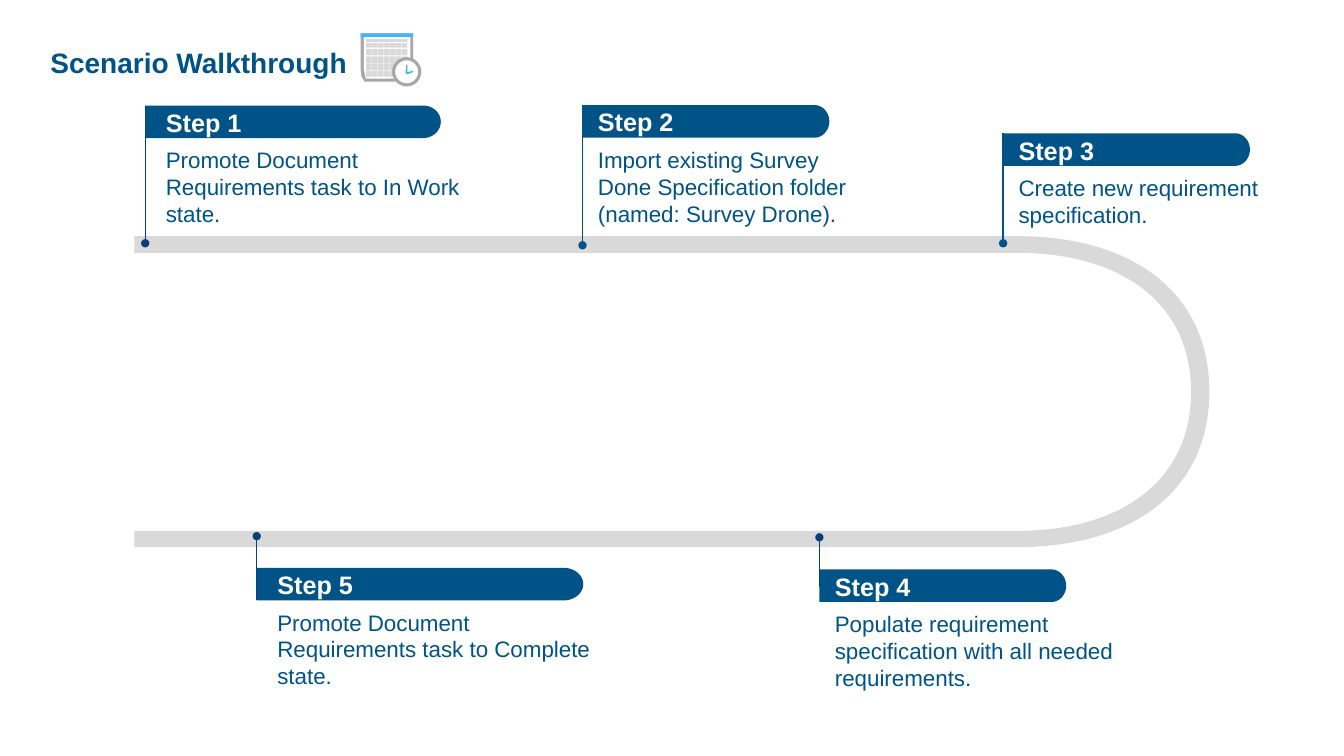
from dataclasses import dataclass

from lxml.etree import SubElement
from pptx import Presentation
from pptx.dml.color import RGBColor
from pptx.enum.shapes import MSO_CONNECTOR as Connector, MSO_SHAPE as Preset
from pptx.enum.text import MSO_ANCHOR as Anchor
from pptx.oxml.ns import qn
from pptx.util import Cm, Pt

BLUE = RGBColor(0x00, 0x53, 0x86)
NAVY = RGBColor(0x0B, 0x3F, 0x77)
WHITE = RGBColor(0xFF, 0xFF, 0xFF)
LIGHT_GREY = RGBColor(0xD9, 0xD9, 0xD9)
MID_GREY = RGBColor(0xA7, 0xA8, 0xAA)
SKY = RGBColor(0x45, 0xB4, 0xFF)

FONT = "Arial"
BANNER_HEIGHT = 0.82
ROAD_BULGE = 0.62
ROUND_BULGE = 0.55

Point = tuple[float, float]


@dataclass
class Step:
    """A milestone; all lengths are in centimetres."""
    name: str
    text: str
    left: float
    top: float
    banner_width: float
    indent: float
    text_width: float
    pole_start: float
    pole_end: float
    pole_color: RGBColor


STEPS = [
    Step("Step 1", "Promote Document Requirements task to In Work state.",
         3.66, 2.66, 7.45, 0.52, 8.08, 2.66, 6.13, NAVY),
    Step("Step 2", "Import existing Survey Done Specification folder (named: Survey Drone).",
         14.68, 2.65, 6.22, 0.39, 6.4, 2.65, 6.18, BLUE),
    Step("Step 3", "Create new requirement specification.",
         25.28, 3.36, 6.22, 0.39, 7.34, 3.36, 6.13, BLUE),
    Step("Step 4", "Populate requirement specification with all needed requirements.",
         20.65, 14.35, 6.22, 0.39, 7.34, 14.78, 13.54, NAVY),
    Step("Step 5", "Promote Document Requirements task to Complete state.",
         6.47, 14.31, 8.23, 0.52, 8.08, 15.13, 13.51, NAVY),
]


def quarter(start: Point, corner: Point, end: Point, bulge: float) -> list[Point]:
    """Points of a rounded corner between start and end."""
    first = [s + (c - s) * bulge for s, c in zip(start, corner)]
    second = [e + (c - e) * bulge for e, c in zip(end, corner)]
    points = []
    for index in range(25):
        t = index / 24
        u = 1 - t
        x, y = (u**3 * start[i] + 3 * u * u * t * first[i]
                + 3 * u * t * t * second[i] + t**3 * end[i] for i in (0, 1))
        points.append((x, y))
    return points


def round_end(left: float, right: float, top: float, bottom: float,
              bulge: float) -> list[Point]:
    """Points of a bend that opens to the left, from top to bottom."""
    middle = (top + bottom) / 2
    return (quarter((left, top), (right, top), (right, middle), bulge)
            + quarter((right, middle), (right, bottom), (left, bottom), bulge))


def paint(shape, color: RGBColor) -> None:
    shape.shadow.inherit = False
    shape.fill.solid()
    shape.fill.fore_color.rgb = color
    shape.line.fill.background()


def add_outline(shapes, points: list[Point], color: RGBColor) -> None:
    corners = [(Cm(x), Cm(y)) for x, y in points]
    builder = shapes.build_freeform(*corners[0])
    builder.add_line_segments(corners[1:], close=True)
    paint(builder.convert_to_shape(), color)


def add_preset(shapes, preset: Preset, left: float, top: float,
               width: float, height: float, color: RGBColor):
    shape = shapes.add_shape(preset, Cm(left), Cm(top), Cm(width), Cm(height))
    paint(shape, color)
    return shape


def add_text(shapes, text: str, left: float, top: float, width: float, height: float,
             size: int, color: RGBColor, bold: bool = False,
             anchor: Anchor = Anchor.TOP) -> None:
    frame = shapes.add_textbox(Cm(left), Cm(top), Cm(width), Cm(height)).text_frame
    frame.word_wrap = True
    frame.vertical_anchor = anchor
    frame.margin_left = frame.margin_right = frame.margin_top = frame.margin_bottom = 0
    run = frame.paragraphs[0].add_run()
    run.text = text
    run.font.name = FONT
    run.font.size = Pt(size)
    run.font.bold = bold
    run.font.color.rgb = color


def add_pole(shapes, x: float, start: float, end: float, color: RGBColor) -> None:
    pole = shapes.add_connector(Connector.STRAIGHT, Cm(x), Cm(start), Cm(x), Cm(end))
    pole.line.color.rgb = color
    pole.line.width = Pt(1)
    SubElement(pole.line._get_or_add_ln(), qn("a:tailEnd"), type="oval")
    SubElement(pole._element.spPr, qn("a:effectLst"))


def add_road(shapes) -> None:
    start, bend = 3.39, 25.62
    outer = round_end(bend, 30.48, 5.95, 13.79, ROAD_BULGE)
    inner = round_end(bend, 30.02, 6.37, 13.38, ROAD_BULGE)
    add_outline(shapes, [(start, 5.95), *outer, (start, 13.79),
                         (start, 13.38), *reversed(inner), (start, 6.37)], LIGHT_GREY)


def add_calendar(shapes) -> None:
    # Page with its header bar
    add_outline(shapes, [(9.09, 0.84), (10.41, 0.84), (10.41, 1.8), (10.52, 2.06),
                         (9.19, 2.06), (9.11, 1.93), (9.09, 1.75)], MID_GREY)
    add_outline(shapes, [(9.17, 0.91), (10.34, 0.91), (10.34, 1.75), (10.39, 1.98),
                         (9.22, 1.98), (9.17, 1.75)], WHITE)
    add_preset(shapes, Preset.RECTANGLE, 9.09, 0.84, 1.32, 0.1, SKY)
    add_preset(shapes, Preset.RECTANGLE, 9.23, 0.99, 1.04, 0.07, LIGHT_GREY)
    # Day cells
    for top, height in ((1.09, 0.11), (1.23, 0.17), (1.42, 0.17), (1.6, 0.17), (1.78, 0.15)):
        for column in range(7):
            add_preset(shapes, Preset.RECTANGLE, 9.23 + 0.15 * column, top,
                       0.14, height, LIGHT_GREY)
    # Clock
    clock = add_preset(shapes, Preset.OVAL, 9.92, 1.48, 0.66, 0.66, WHITE)
    clock.line.color.rgb = MID_GREY
    clock.line.width = Pt(2.2)
    add_outline(shapes, [(10.24, 1.63), (10.27, 1.63), (10.27, 1.82), (10.41, 1.78),
                         (10.41, 1.82), (10.27, 1.87), (10.22, 1.85)], SKY)


def add_step(shapes, step: Step) -> None:
    right, bottom = step.left + step.banner_width, step.top + BANNER_HEIGHT
    end = round_end(right - 0.06 * step.banner_width, right, step.top, bottom, ROUND_BULGE)
    add_outline(shapes, [(step.left, step.top), *end, (step.left, bottom)], BLUE)
    add_pole(shapes, step.left, step.pole_start, step.pole_end, step.pole_color)
    text_left = step.left + step.indent
    add_text(shapes, step.name, text_left, step.top + 0.04, 4.17, 0.76, 18, WHITE,
             bold=True, anchor=Anchor.MIDDLE)
    add_text(shapes, step.text, text_left, step.top + 1.03, step.text_width, 2.06, 16, BLUE)


def main() -> None:
    presentation = Presentation()
    presentation.slide_width, presentation.slide_height = Cm(33.87), Cm(19.05)
    slide = presentation.slides.add_slide(presentation.slide_layouts[6])
    add_road(slide.shapes)
    add_calendar(slide.shapes.add_group_shape().shapes)
    add_text(slide.shapes, "Scenario Walkthrough", 1.27, 1.14, 29.3, 0.8, 20, BLUE, bold=True)
    for step in STEPS:
        add_step(slide.shapes.add_group_shape().shapes, step)
    presentation.save("out.pptx")


if __name__ == "__main__":
    main()
